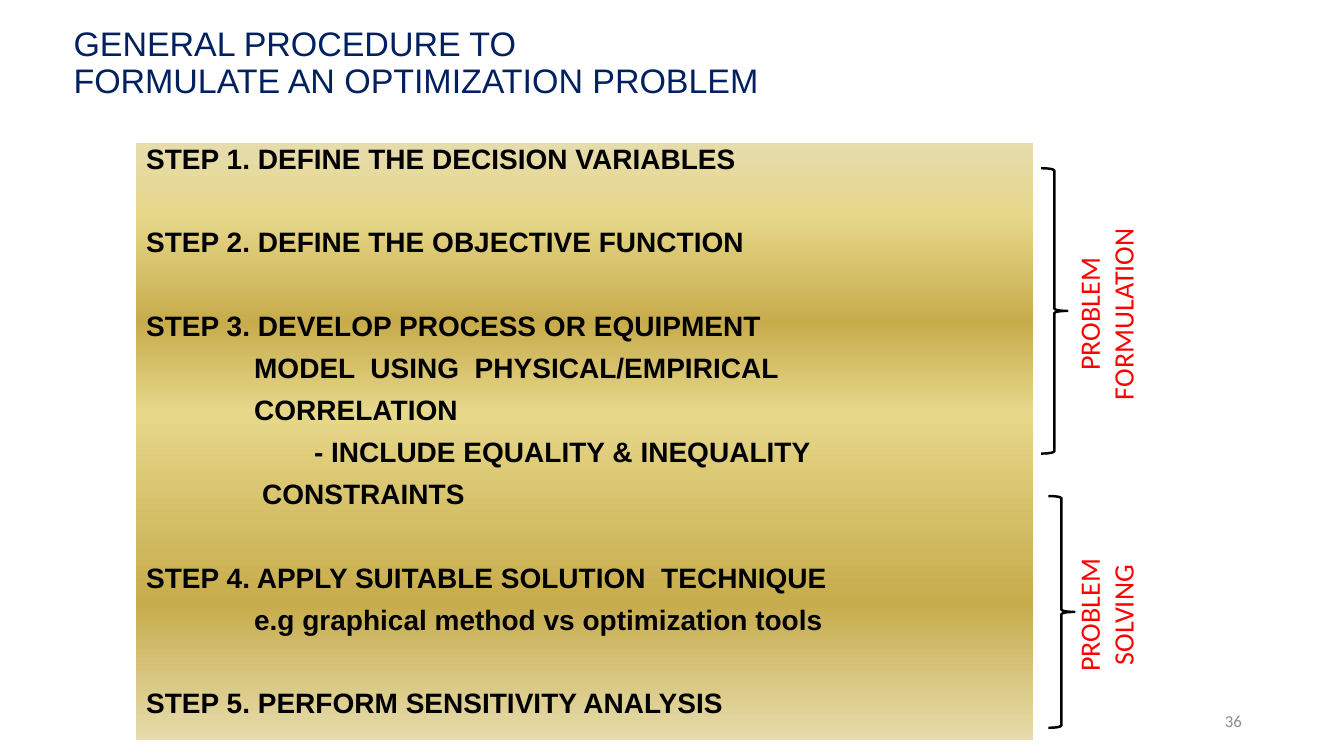
from lxml import etree
from pptx import Presentation
from pptx.dml.color import RGBColor
from pptx.enum.shapes import MSO_SHAPE
from pptx.enum.text import MSO_ANCHOR, MSO_AUTO_SIZE, PP_ALIGN
from pptx.oxml.ns import qn
from pptx.util import Cm, Pt

RIGHT_BRACE = MSO_SHAPE.RIGHT_BRACE
TOP, MIDDLE = MSO_ANCHOR.TOP, MSO_ANCHOR.MIDDLE
NO_AUTOFIT = MSO_AUTO_SIZE.NONE
LEFT, CENTER, RIGHT = PP_ALIGN.LEFT, PP_ALIGN.CENTER, PP_ALIGN.RIGHT

NAVY = RGBColor(0x00, 0x20, 0x60)
BLACK = RGBColor(0x00, 0x00, 0x00)
WHITE = RGBColor(0xFF, 0xFF, 0xFF)
RED = RGBColor(0xFF, 0x00, 0x00)
GREY = RGBColor(0x8C, 0x8C, 0x8C)
PALE_GOLD = RGBColor(0xE6, 0xDC, 0xAC)
LIGHT_GOLD = RGBColor(0xE6, 0xD7, 0x8A)
DARK_GOLD = RGBColor(0xC7, 0xAC, 0x4C)
GOLD_STOPS = [(0, PALE_GOLD), (12, LIGHT_GOLD), (30, DARK_GOLD),
              (45, LIGHT_GOLD), (77, DARK_GOLD), (100, PALE_GOLD)]

TITLE_FONT = {"name": "Arial", "size": Pt(24.3), "color": NAVY}
STEP_FONT = {"name": "Arial", "size": Pt(20), "bold": True, "color": BLACK}
PHASE_FONT = {"name": "Calibri", "size": Pt(20), "color": RED}
NUMBER_FONT = {"name": "Calibri", "size": Pt(12), "color": GREY}

LINE_GAP, STEP_GAP = 10.9, 40.2  # points before a line, before a new step

# Each step: lines of (indent in cm, text)
STEPS = [
    [(0, "STEP 1. DEFINE THE DECISION VARIABLES")],
    [(0, "STEP 2. DEFINE THE OBJECTIVE FUNCTION")],
    [(0, "STEP 3. DEVELOP PROCESS OR EQUIPMENT"),
     (2.72, "MODEL  USING  PHYSICAL/EMPIRICAL"),
     (2.72, "CORRELATION"),
     (4.23, "- INCLUDE EQUALITY & INEQUALITY"),
     (2.92, "CONSTRAINTS")],
    [(0, "STEP 4. APPLY SUITABLE SOLUTION  TECHNIQUE"),
     (2.72, "e.g graphical method vs optimization tools")],
    [(0, "STEP 5. PERFORM SENSITIVITY ANALYSIS")],
]


def set_font(font, values):
    for key, value in values.items():
        if key == "color":
            font.color.rgb = value
        else:
            setattr(font, key, value)


def place(shape, box):
    for key, value in zip(("left", "top", "width", "height"), box):
        setattr(shape, key, Cm(value))


def format_frame(frame, anchor, wrap=True):
    values = {"auto_size": NO_AUTOFIT, "vertical_anchor": anchor, "word_wrap": wrap}
    for key, value in values.items():
        setattr(frame, key, value)


def fill_gold(shape):
    shape.fill.gradient()
    shape.fill.gradient_angle = 270
    stops = shape.element.spPr.find(".//" + qn("a:gsLst"))
    for old_stop in list(stops):
        stops.remove(old_stop)
    for percent, color in GOLD_STOPS:
        stop = etree.SubElement(stops, qn("a:gs"), pos=str(percent * 1000))
        etree.SubElement(stop, qn("a:srgbClr"), val=str(color))


def add_title(slide, box):
    title = slide.shapes.title
    place(title, box)
    format_frame(title.text_frame, MIDDLE)
    title.text_frame.text = "GENERAL PROCEDURE TO\vFORMULATE AN OPTIMIZATION PROBLEM"
    heading = title.text_frame.paragraphs[0]
    heading.alignment, heading.line_spacing = LEFT, 0.9
    for run in heading.runs:
        set_font(run.font, TITLE_FONT)


def add_steps(slide, box):
    panel = slide.placeholders[1]
    place(panel, box)
    fill_gold(panel)
    frame = panel.text_frame
    format_frame(frame, TOP)
    for step_index, lines in enumerate(STEPS):
        for line_index, (indent, text) in enumerate(lines):
            first = step_index == line_index == 0
            line = frame.paragraphs[0] if first else frame.add_paragraph()
            properties = line._p.get_or_add_pPr()
            properties.set("marL", str(Cm(indent)))
            properties.set("indent", "0")
            etree.SubElement(properties, qn("a:buNone"))
            gap = LINE_GAP if line_index else STEP_GAP
            line.space_before = Pt(0 if first else gap)
            line.line_spacing = 0.8
            line.alignment = LEFT
            run = line.add_run()
            run.text = text
            set_font(run.font, STEP_FONT)


def add_text(slide, box, lines, alignment, font, anchor, wrap=True):
    text_box = slide.shapes.add_textbox(*map(Cm, box))
    frame = text_box.text_frame
    format_frame(frame, anchor, wrap)
    frame.text = "\n".join(lines)
    for paragraph in frame.paragraphs:
        paragraph.alignment = alignment
        set_font(paragraph.runs[0].font, font)
    return text_box


def add_phase(slide, box, lines):
    left, top, width, height = box
    # Brace on the left edge
    brace = slide.shapes.add_shape(RIGHT_BRACE, *map(Cm, (left, top, 0.66, height)))
    brace.shadow.inherit = False
    brace.fill.solid()
    brace.fill.fore_color.rgb = WHITE
    brace.line.color.rgb = BLACK
    brace.line.width = Pt(1.75)
    # Label turned upwards along the right edge
    label_width, label_height = 4.88, 1.96
    center_x = left + width - label_height / 2
    center_y = top + height / 2 + 0.08
    label_box = (center_x - label_width / 2, center_y - label_height / 2,
                 label_width, label_height)
    label = add_text(slide, label_box, lines, CENTER, PHASE_FONT, TOP, wrap=False)
    label.rotation = 270


def main():
    presentation = Presentation()
    presentation.slide_width, presentation.slide_height = Cm(33.87), Cm(19.05)
    slide = presentation.slides.add_slide(presentation.slide_layouts[1])
    add_title(slide, (1.6, 0.46, 28.04, 2.29))
    add_steps(slide, (3.43, 3.61, 22.61, 15.04))
    add_phase(slide, (26.24, 4.24, 2.61, 7.19), ["PROBLEM", "FORMULATION"])
    add_phase(slide, (26.42, 12.5, 2.43, 5.84), ["PROBLEM", "SOLVING"])
    # Slide number
    add_text(slide, (23.93, 17.65, 7.62, 1.02), ["36"], RIGHT, NUMBER_FONT, MIDDLE)
    presentation.save("out.pptx")


if __name__ == "__main__":
    main()
